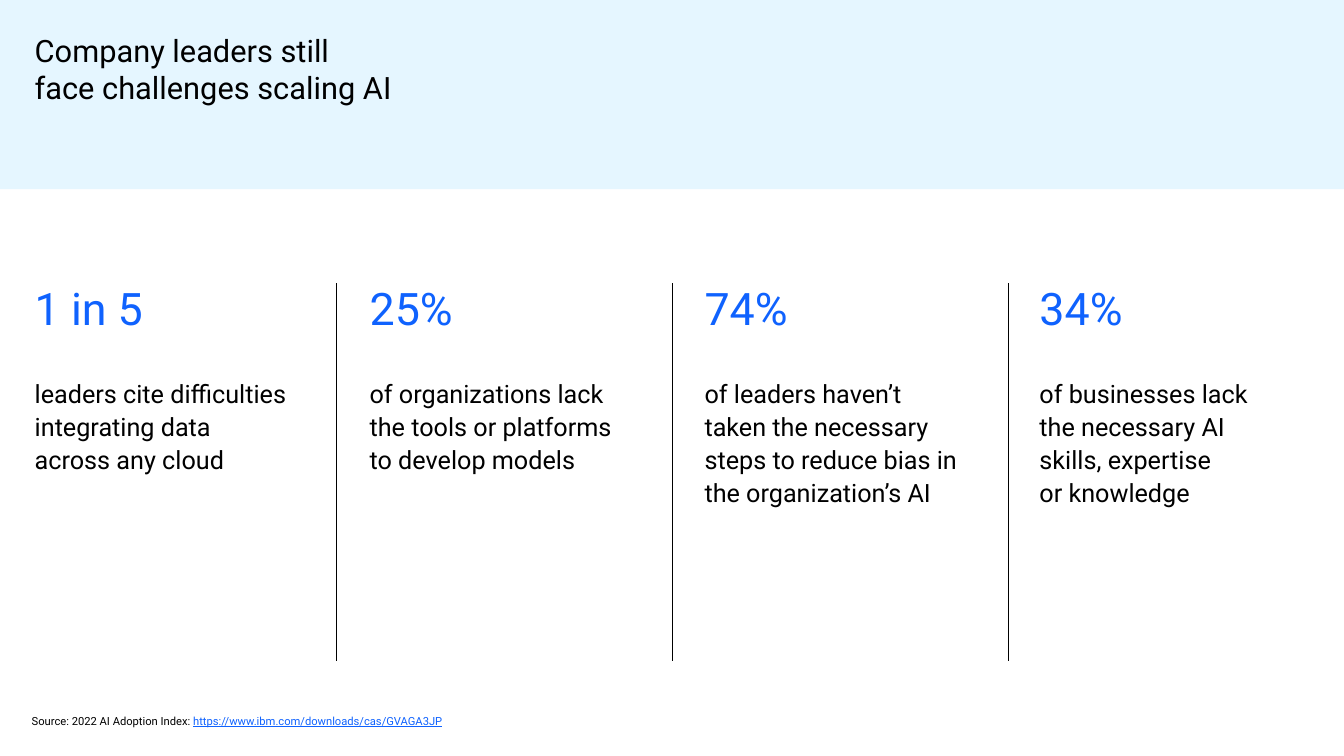
"""Build a slide with four figures on the challenges of scaling AI."""
from lxml.etree import SubElement
from pptx import Presentation
from pptx.dml.color import RGBColor
from pptx.enum.shapes import MSO_CONNECTOR, MSO_SHAPE
from pptx.enum.text import MSO_ANCHOR, MSO_AUTO_SIZE, PP_ALIGN
from pptx.oxml.ns import qn
from pptx.util import Cm, Pt

BLACK = RGBColor(0x00, 0x00, 0x00)
BLUE = RGBColor(0x0F, 0x62, 0xFE)
PALE = RGBColor(0xE5, 0xF6, 0xFF)

WIDTH, HEIGHT = 67.74, 38.1
LEFT, PITCH = 1.75, 16.88
STATS = [
    ("1 in 5", "leaders cite difficulties integrating data\vacross any cloud", 13.41),
    ("25%", "of organizations lack the tools or platforms to develop models", 13.41),
    ("74%", "of leaders haven’t\vtaken the necessary steps to reduce bias in "
            "the organization’s AI", 13.79),
    ("34%", "of businesses lack\vthe necessary AI skills, expertise\v"
            "or knowledge", 12.73),
]


class Deck:
    """Holds the text style and the current slide."""

    def __init__(self, slide, face="Roboto"):
        self.slide = slide
        self.face = face

    def place(self, shape, left, top, width, height, anchor=MSO_ANCHOR.TOP):
        """Move a text shape and clear its insets."""
        shape.left, shape.top = Cm(left), Cm(top)
        shape.width, shape.height = Cm(width), Cm(height)
        frame = shape.text_frame
        frame.word_wrap = True
        frame.auto_size = MSO_AUTO_SIZE.NONE
        frame.vertical_anchor = anchor
        frame.margin_left = frame.margin_right = 0
        frame.margin_top = frame.margin_bottom = 0
        return frame

    def style(self, run, size, color=BLACK):
        """Format one run."""
        font = run.font
        font.name, font.size, font.bold = self.face, Pt(size), False
        font.color.rgb = color

    def band(self, height):
        """Draw the pale band behind the title."""
        band = self.slide.shapes.add_shape(
            MSO_SHAPE.RECTANGLE, 0, 0, Cm(WIDTH), Cm(height))
        band.shadow.inherit = False
        band.fill.solid()
        band.fill.fore_color.rgb = PALE
        band.line.fill.background()
        self.slide.shapes._spTree.insert(2, band._element)

    def title(self, text):
        """Fill the title placeholder."""
        frame = self.place(self.slide.shapes.title, LEFT, 1.6, 18.03, 6.22)
        frame.text = text
        para = frame.paragraphs[0]
        para.alignment = PP_ALIGN.LEFT
        self.style(para.runs[0], 44)

    def stat(self, shape, left, width, figure, claim):
        """Fill a body placeholder with a figure and its claim."""
        frame = self.place(shape, left, 13.9, width, 19.05)
        frame.text = f"{figure}\n{claim}"
        looks = [(64, BLUE, 0), (36, BLACK, 57)]
        for para, (size, color, gap) in zip(frame.paragraphs, looks):
            props = para._p.get_or_add_pPr()
            props.set("marL", "0")
            props.set("indent", "0")
            SubElement(props, qn("a:buNone"))
            para.line_spacing = 1.1
            para.space_before = Pt(gap)
            for run in para.runs:
                self.style(run, size, color)

    def rule(self, left, top, height):
        """Draw a thin vertical divider."""
        line = self.slide.shapes.add_connector(
            MSO_CONNECTOR.STRAIGHT, Cm(left), Cm(top), Cm(left), Cm(top + height))
        line.line.color.rgb = BLACK
        line.line.width = Pt(1)
        SubElement(line._element.spPr, qn("a:effectLst"))

    def source(self, label, link):
        """Add the source line with its underlined address."""
        box = self.slide.shapes.add_textbox(0, 0, 0, 0)
        frame = self.place(box, 1.6, 35.59, 30.25, 1.07, MSO_ANCHOR.BOTTOM)
        para = frame.paragraphs[0]
        for text, color in ((label, BLACK), (link, BLUE)):
            run = para.add_run()
            run.text = text
            self.style(run, 16, color)
        run.font.underline = True


def main():
    show = Presentation()
    show.slide_width, show.slide_height = Cm(WIDTH), Cm(HEIGHT)
    slide = show.slides.add_slide(show.slide_layouts.get_by_name("Comparison"))
    deck = Deck(slide)
    deck.band(9.53)
    deck.title("Company leaders still face challenges scaling AI")
    for i, (figure, claim, width) in enumerate(STATS):
        deck.stat(slide.placeholders[i + 1], LEFT + i * PITCH, width, figure, claim)
        if i:
            deck.rule(i * WIDTH / len(STATS), 14.28, 19.05)
    deck.source("Source: 2022 AI Adoption Index: ",
                "https://www.ibm.com/downloads/cas/GVAGA3JP")
    show.save("out.pptx")


if __name__ == "__main__":
    main()
